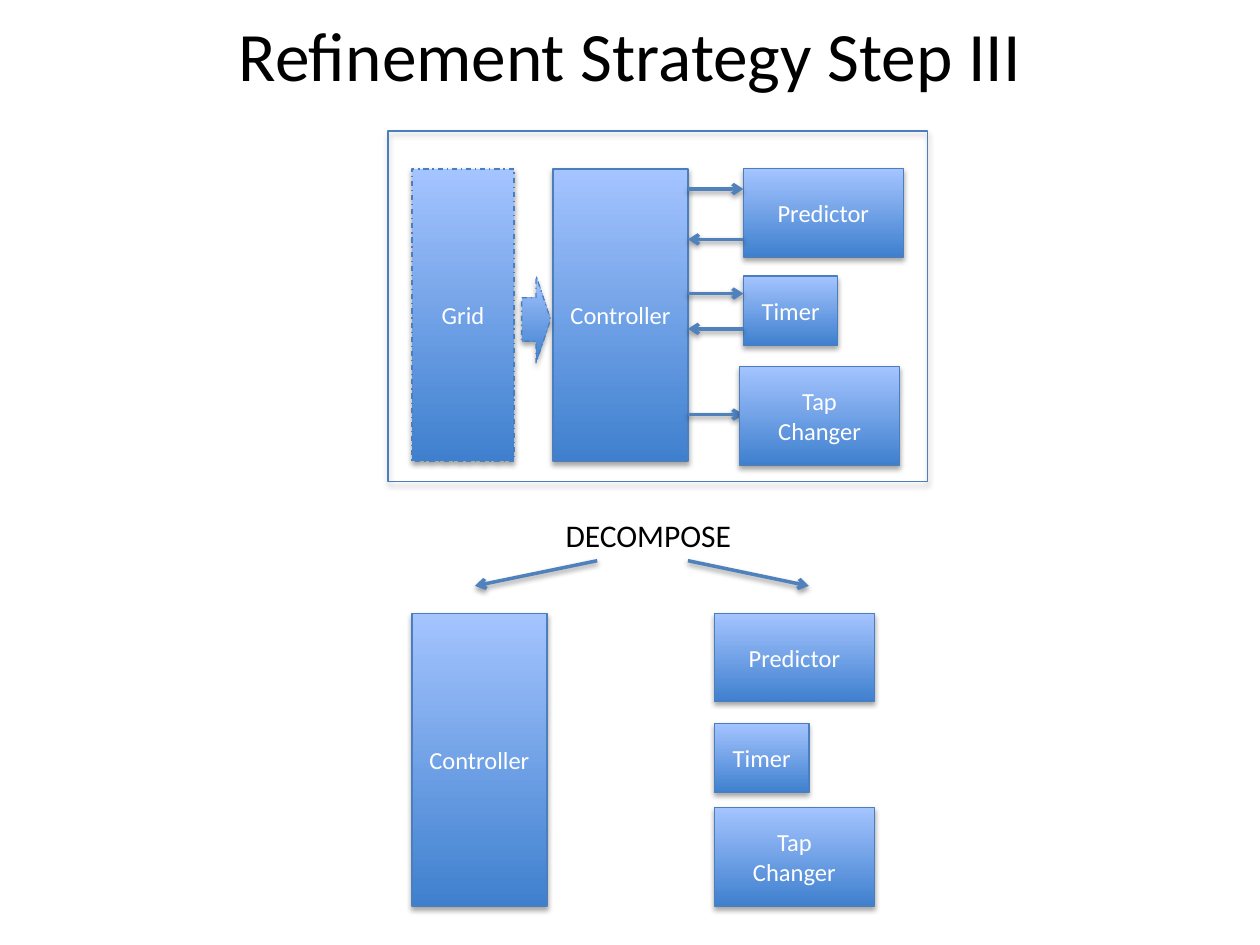
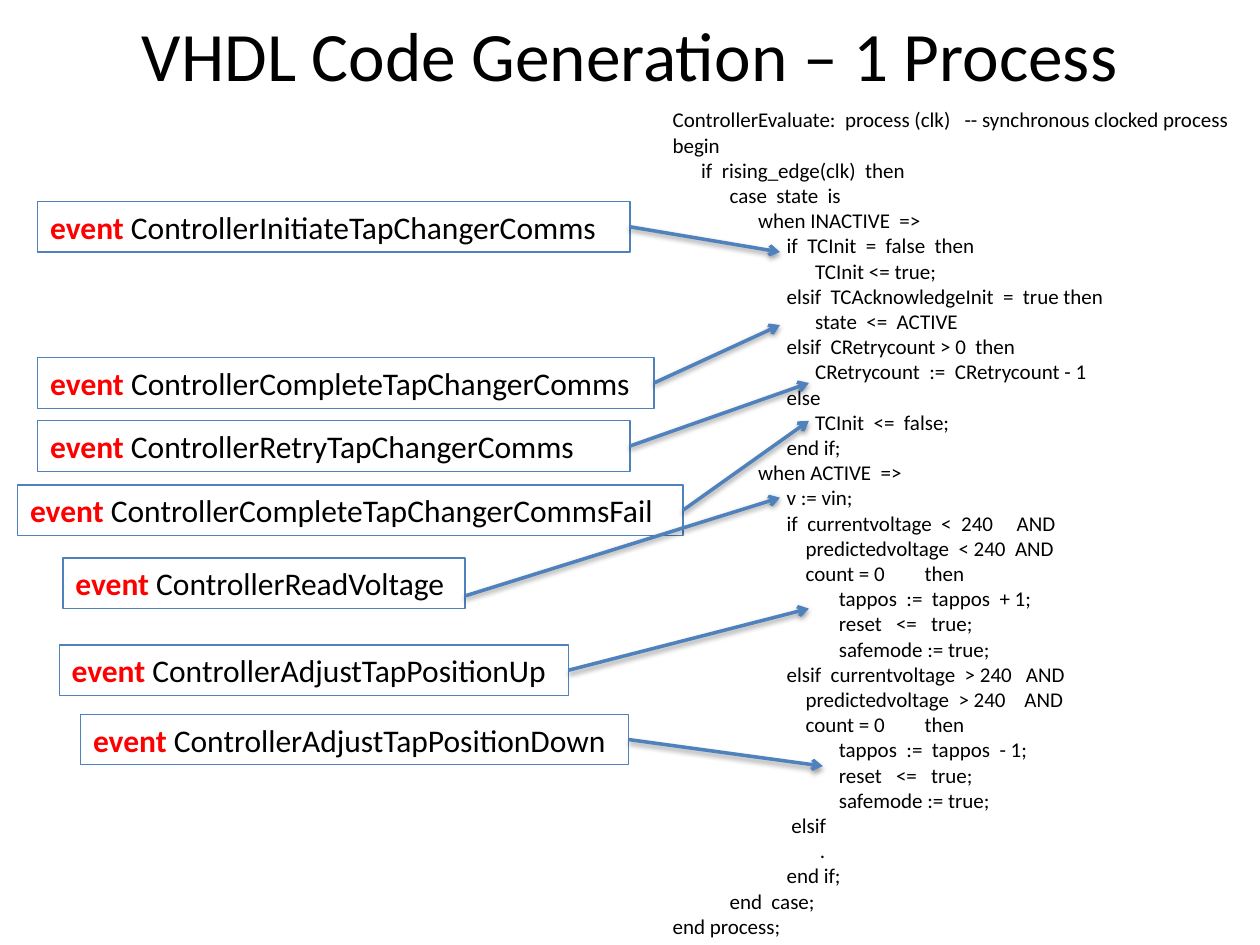
"""Build two slides on refinement strategy and VHDL code generation."""
from dataclasses import dataclass
from typing import Any

from lxml.etree import SubElement
from pptx import Presentation
from pptx.dml.color import RGBColor as RGB
from pptx.enum.dml import MSO_LINE as DASH
from pptx.enum.shapes import MSO_CONNECTOR as CONN, MSO_SHAPE as SHAPE
from pptx.enum.text import MSO_ANCHOR as ANCHOR, PP_ALIGN as ALIGN
from pptx.oxml.ns import qn
from pptx.util import Emu, Inches, Pt

COLORS = {"black": "000000", "white": "FFFFFF", "red": "FF0000", "edge": "4B7EBC",
          "arrow": "4F81BD", "dark": "3F80CE", "light": "A4C4FF"}
FONTS = {
    "title": {"name": "Calibri", "size": Pt(39.6), "bold": False},
    "label": {"name": "Calibri", "size": Pt(18), "bold": False},
    "keyword": {"name": "Calibri", "size": Pt(18), "bold": True},
    "block": {"name": "Calibri", "size": Pt(14), "bold": False},
    "code": {"name": "Calibri", "size": Pt(12), "bold": False},
}
SPACE = 0.0377
THEN_TAB = 3.22


@dataclass(frozen=True)
class Block:
    """A shaded block of the system diagram."""
    text: str
    left: float
    top: float
    width: float
    height: float
    line: float = 0.75
    dashed: bool = False
    kind: Any = SHAPE.RECTANGLE
    filled: bool = True


@dataclass(frozen=True)
class Arrow:
    """A straight arrow from one point to another."""
    x1: float
    y1: float
    x2: float
    y2: float


@dataclass(frozen=True)
class Event:
    """A boxed event and the code point that its arrow reaches."""
    name: str
    left: float
    top: float
    width: float
    x: float
    y: float
    drop: float = 0.2


PORT_L, PORT_R = 5.46, 5.9
SYSTEM = [
    Block("Grid", 3.27, 1.34, 0.81, 2.32, dashed=True),
    Block("Controller", 4.39, 1.34, 1.07, 2.32, line=1),
    Block("Predictor", PORT_R, 1.34, 1.27, 0.7),
    Block("Timer", PORT_R, 2.19, 0.75, 0.55),
    *(Arrow(PORT_L, y, PORT_R, y) for y in (1.5, 2.33, 3.29)),
    *(Arrow(PORT_R, y, PORT_L, y) for y in (1.9, 2.61)),
    Block("", 4.14, 2.19, 0.23, 0.69, dashed=True, kind=SHAPE.RIGHT_ARROW),
    Block("", 3.08, 1.04, 4.28, 2.78, filled=False),
    Block("Tap\nChanger", 5.87, 2.91, 1.27, 0.78),
]
PARTS = [
    Block("Controller", 3.27, 4.87, 1.07, 2.32, line=1),
    Block("Predictor", 5.67, 4.87, 1.27, 0.7),
    Block("Timer", 5.67, 5.74, 0.75, 0.55),
    Block("Tap\nChanger", 5.67, 6.41, 1.27, 0.78),
    Arrow(5.46, 4.45, 6.42, 4.65),
    Arrow(4.74, 4.45, 3.77, 4.65),
]
EVENTS = [
    Event("ControllerInitiateTapChangerComms", 0.3, 1.6, 4.7, 6.19, 2),
    Event("ControllerCompleteTapChangerComms", 0.3, 2.84, 4.89, 6.19, 2.58),
    Event("ControllerRetryTapChangerComms", 0.3, 3.34, 4.7, 6.42, 3.04),
    Event("ControllerCompleteTapChangerCommsFail", 0.14, 3.85, 5.28, 6.42, 3.34),
    Event("ControllerAdjustTapPositionUp", 0.47, 5.12, 4.04, 6.42, 4.83),
    Event("ControllerAdjustTapPositionDown", 0.64, 5.67, 4.35, 6.53, 6.08),
    Event("ControllerReadVoltage", 0.5, 4.43, 3.19, 6.19, 3.95, drop=0.3),
]
CODE = [
    (0, "ControllerEvaluate:  process (clk)   -- synchronous clocked process"),
    (0, "begin"),
    (6, "if  rising_edge(clk)  then"),
    (12, "case  state  is"),
    (18, "when INACTIVE  =>"),
    (24, "if  TCInit  =  false  then"),
    (30, "TCInit <= true;"),
    (24, "elsif  TCAcknowledgeInit  =  true then"),
    (30, "state  <=  ACTIVE"),
    (24, "elsif  CRetrycount > 0  then"),
    (30, "CRetrycount  :=  CRetrycount - 1"),
    (24, "else"),
    (30, "TCInit  <=  false;"),
    (24, "end if;"),
    (18, "when ACTIVE  =>"),
    (24, "v := vin;"),
    (24, "if  currentvoltage  <  240     AND"),
    (28, "predictedvoltage  < 240  AND"),
    (28, "count = 0\tthen"),
    (35, "tappos  :=  tappos  + 1;"),
    (35, "reset   <=   true;"),
    (35, "safemode := true;"),
    (24, "elsif  currentvoltage  > 240   AND"),
    (28, "predictedvoltage  > 240    AND"),
    (28, "count = 0\tthen"),
    (35, "tappos  :=  tappos  - 1;"),
    (35, "reset   <=   true;"),
    (35, "safemode := true;"),
    (25, "elsif"),
    (31, "."),
    (24, "end if;"),
    (12, "end  case;"),
    (0, "end process;"),
]


def rgb(name: str) -> RGB:
    """Look up a named colour."""
    return RGB.from_string(COLORS[name])


def add_run(p: Any, text: str, style: str, color: str = "black") -> None:
    """Append a formatted run to a paragraph."""
    r = p.add_run()
    r.text = text
    for key, value in FONTS[style].items():
        setattr(r.font, key, value)
    r.font.color.rgb = rgb(color)


def add_shadow(sp: Any, alpha: int, dist: float) -> None:
    """Give a shape or connector a soft shadow below it."""
    effects = SubElement(sp._element.spPr, qn("a:effectLst"))
    outer = SubElement(effects, qn("a:outerShdw"), blurRad=str(Pt(3.1)),
                       dist=str(Pt(dist)), dir="5400000", rotWithShape="0")
    clr = SubElement(outer, qn("a:srgbClr"), val=COLORS["black"])
    SubElement(clr, qn("a:alpha"), val=str(alpha * 1000))


def add_text(s: Any, left: float, top: float, width: float, height: float) -> Any:
    """Add an empty wrapping text box."""
    sp = s.shapes.add_textbox(*map(Inches, (left, top, width, height)))
    sp.text_frame.word_wrap = True
    return sp


def add_block(shapes: Any, b: Block) -> None:
    """Draw a block with its gradient, outline, shadow and label."""
    sp = shapes.add_shape(b.kind, *map(Inches, (b.left, b.top, b.width, b.height)))
    if b.filled:
        sp.fill.gradient()
        sp.fill.gradient_angle = 90
        for stop, color in zip(sp.fill.gradient_stops, ("dark", "light")):
            stop.color.rgb = rgb(color)
    else:
        sp.fill.background()
    sp.line.color.rgb = rgb("edge")
    sp.line.width = Pt(b.line)
    if b.dashed:
        sp.line.dash_style = DASH.DASH_DOT
    add_shadow(sp, 35, 1.8)
    if not b.text:
        return
    tf = sp.text_frame
    tf.vertical_anchor = ANCHOR.MIDDLE
    for i, line in enumerate(b.text.split("\n")):
        p = tf.add_paragraph() if i else tf.paragraphs[0]
        p.alignment = ALIGN.CENTER
        add_run(p, line, "block", "white")


def add_arrow(shapes: Any, a: Arrow) -> None:
    """Draw an arrow with an open head at its end."""
    sp = shapes.add_connector(CONN.STRAIGHT, *map(Inches, (a.x1, a.y1, a.x2, a.y2)))
    sp.line.color.rgb = rgb("arrow")
    sp.line.width = Pt(2)
    SubElement(sp.line._get_or_add_ln(), qn("a:tailEnd"), type="arrow")
    add_shadow(sp, 38, 1.6)


def add_diagram(shapes: Any, items: list) -> None:
    """Draw blocks and arrows from back to front."""
    for item in items:
        draw = add_block if isinstance(item, Block) else add_arrow
        draw(shapes, item)


def add_event(s: Any, e: Event) -> None:
    """Draw an event box and its arrow into the code."""
    sp = add_text(s, e.left, e.top, e.width, 0.4)
    sp.line.color.rgb = rgb("arrow")
    sp.line.width = Pt(0.75)
    p = sp.text_frame.paragraphs[0]
    add_run(p, "event ", "keyword", "red")
    add_run(p, e.name, "label")
    add_arrow(s.shapes, Arrow(e.left + e.width, e.top + e.drop, e.x, e.y))


def add_code(s: Any) -> None:
    """Write the process listing with one indent per line."""
    tf = add_text(s, 5.24, 0.8, 4.7, 6.97).text_frame
    for i, (indent, line) in enumerate(CODE):
        p = tf.add_paragraph() if i else tf.paragraphs[0]
        pPr = p._p.get_or_add_pPr()
        pPr.set("marL", "0")
        pPr.set("indent", str(Inches(indent * SPACE)))
        if "\t" in line:
            tabs = SubElement(pPr, qn("a:tabLst"))
            SubElement(tabs, qn("a:tab"), pos=str(Inches(THEN_TAB)), algn="l")
        add_run(p, line, "code")


def add_slide(prs: Any, title: str) -> Any:
    """Add a blank slide with the shared title."""
    s = prs.slides.add_slide(prs.slide_layouts[6])
    tf = add_text(s, 0.5, 0.04, 9, 0.77).text_frame
    tf.vertical_anchor = ANCHOR.MIDDLE
    tf.paragraphs[0].alignment = ALIGN.CENTER
    add_run(tf.paragraphs[0], title, "title")
    return s


def main() -> None:
    """Build and save the presentation."""
    prs = Presentation()
    prs.slide_width, prs.slide_height = Inches(10), Inches(7.5)

    s = add_slide(prs, "Refinement Strategy Step III")
    add_diagram(s.shapes.add_group_shape().shapes, SYSTEM)
    tf = add_text(s, 4.39, 4.05, 1.53, 0.4).text_frame
    add_run(tf.paragraphs[0], "DECOMPOSE", "label")
    add_diagram(s.shapes, PARTS)

    s = add_slide(prs, "VHDL Code Generation – 1 Process")
    add_code(s)
    for e in EVENTS:
        add_event(s, e)

    prs.save("out.pptx")


main()
